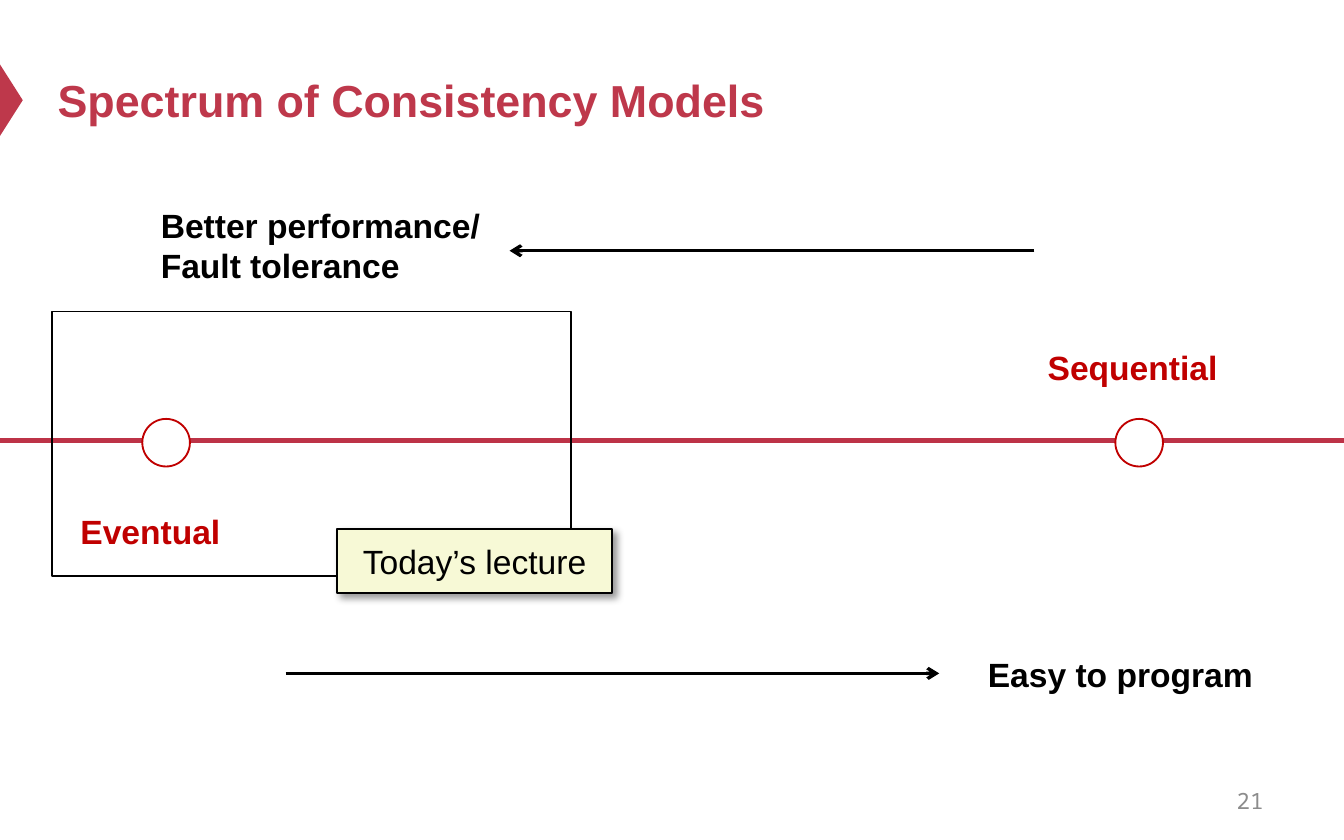
"""Build the slide on the spectrum of consistency models."""
from lxml.etree import SubElement
from pptx import Presentation
from pptx.dml.color import RGBColor
from pptx.enum.shapes import MSO_CONNECTOR as Link, MSO_SHAPE as Shape
from pptx.enum.text import MSO_ANCHOR as Anchor, PP_ALIGN as Align
from pptx.oxml import parse_xml
from pptx.oxml.ns import nsdecls, qn
from pptx.util import Cm, Pt

hue = RGBColor.from_string


def write(box, lines, size, color, bold=False, font="Arial", align=Align.LEFT, wrap=True):
    frame = box.text_frame
    frame.word_wrap = wrap
    frame.vertical_anchor = Anchor.MIDDLE
    for i, line in enumerate(lines):
        para = frame.add_paragraph() if i else frame.paragraphs[0]
        para.alignment = align
        run = para.add_run()
        run.text = line
        run.font.name = font
        run.font.size = Pt(size)
        run.font.bold = bold
        run.font.color.rgb = hue(color)


def draw(kind, place, fill=None, line=None):
    shape = shapes.add_shape(kind, *map(Cm, place))
    shape.shadow.inherit = False
    if fill:
        shape.fill.solid()
        shape.fill.fore_color.rgb = hue(fill)
    else:
        shape.fill.background()
    if line:
        shape.line.color.rgb = hue(line)
        shape.line.width = Pt(1)
    else:
        shape.line.fill.background()
    return shape


deck = Presentation()
deck.slide_width, deck.slide_height = Cm(25.4), Cm(15.88)
slide = deck.slides.add_slide(deck.slide_layouts[6])
shapes = slide.shapes

mark = draw(Shape.ISOSCELES_TRIANGLE, (-0.46, 1.68, 1.35, 0.43), "BE384B")
mark.rotation = 90

title = shapes.add_textbox(Cm(0.84), Cm(0.64), Cm(22.86), Cm(2.49))
write(title, ["Spectrum of Consistency Models"], 24, "BE384B", True)
number = shapes.add_textbox(Cm(18.21), Cm(14.71), Cm(5.92), Cm(0.84))
write(number, ["21"], 12, "8C8C8C", font="Noto Sans Mono", align=Align.RIGHT)

for start, end, y, color, width, arrow in [
    (0, 25.4, 8.33, "BD3347", 2.5, False),
    (5.4, 17.75, 12.73, "000000", 1.75, True),
    (19.55, 9.63, 4.74, "000000", 1.75, True),
]:
    link = shapes.add_connector(Link.STRAIGHT, Cm(start), Cm(y), Cm(end), Cm(y))
    link.line.color.rgb = hue(color)
    link.line.width = Pt(width)
    if arrow:
        SubElement(link.line._get_or_add_ln(), qn("a:tailEnd"), type="arrow")
    SubElement(link._element.spPr, qn("a:effectLst"))

for x in (2.69, 21.08):
    draw(Shape.OVAL, (x, 7.92, 0.9, 0.9), "FFFFFF", "C00000")

for lines, color, place in [
    (["Sequential"], "C00000", (19.55, 6.43, 3.76, 1.03)),
    (["Eventual"], "C00000", (1.27, 9.53, 3.18, 1.03)),
    (["Easy to program"], "000000", (18.42, 12.22, 5.56, 1.03)),
    (["Better performance/", "Fault tolerance"], "000000", (2.79, 3.73, 6.6, 1.8)),
]:
    label = shapes.add_textbox(*map(Cm, place))
    write(label, lines, 18, color, True, wrap=False)

draw(Shape.RECTANGLE, (0.99, 5.89, 9.8, 5), line="000000")
note = draw(Shape.RECTANGLE, (6.37, 10, 5.2, 1.21), "F7F9D6", "000000")
write(note, ["Today’s lecture"], 18, "000000", align=Align.CENTER)
glow = note._element.spPr.find(qn("a:effectLst"))
glow.append(parse_xml(
    f'<a:outerShdw {nsdecls("a")} blurRad="{Pt(4)}" dist="{Pt(3)}" dir="2700000"'
    ' algn="tl" rotWithShape="0"><a:srgbClr val="000000"><a:alpha val="40000"/>'
    '</a:srgbClr></a:outerShdw>'))

deck.save("out.pptx")
